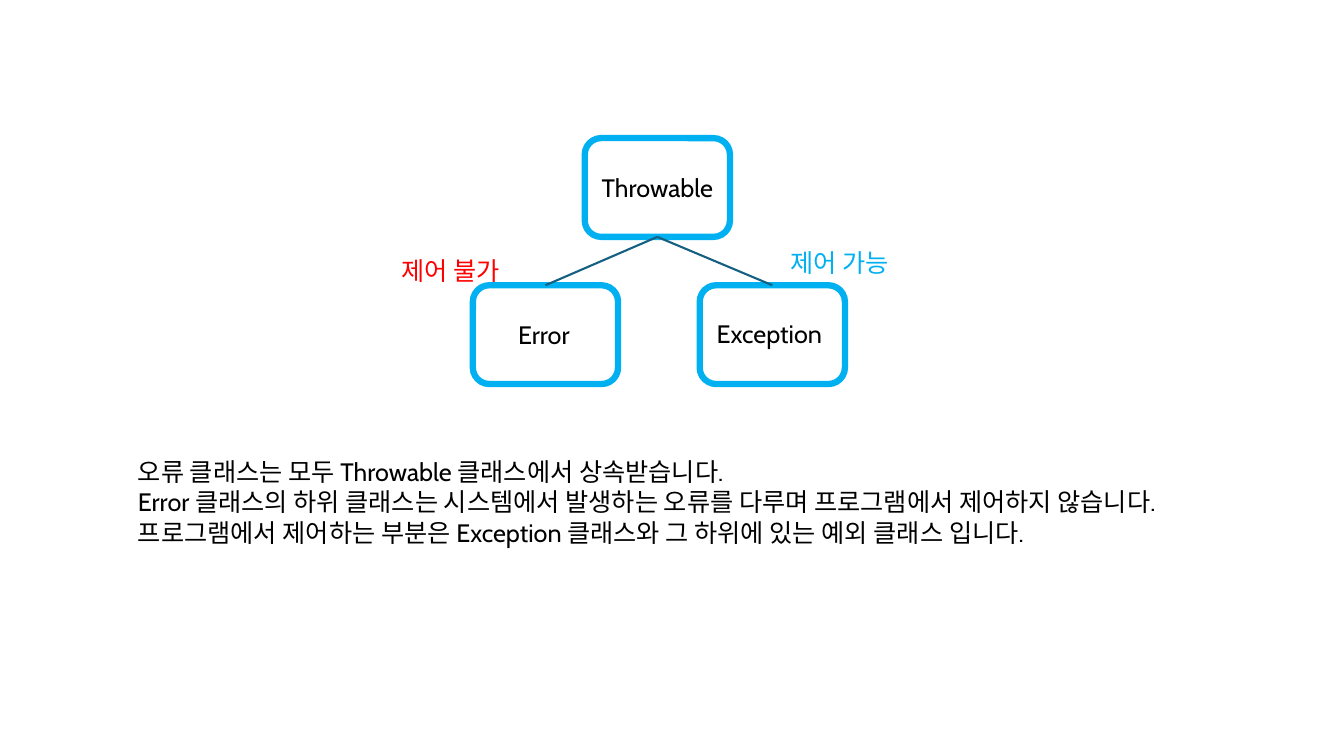
from dataclasses import dataclass

import pptx
import pptx.dml.color
import pptx.enum.shapes
import pptx.enum.text
import pptx.oxml.ns
import pptx.slide
import pptx.util
from lxml import etree

Inches = pptx.util.Inches
RGBColor = pptx.dml.color.RGBColor

BLACK = RGBColor(0x00, 0x00, 0x00)
RED = RGBColor(0xFF, 0x00, 0x00)
SKY_BLUE = RGBColor(0x00, 0xB0, 0xF0)
DARK_TEAL = RGBColor(0x15, 0x60, 0x82)

FONT_NAME = "Cabin"
FONT_SIZE = pptx.util.Pt(18)
BOX_WIDTH = 1.44
BOX_HEIGHT = 0.98


@dataclass(frozen=True)
class ClassBox:
    left: float
    top: float

    @property
    def center(self) -> float:
        return self.left + BOX_WIDTH / 2

    @property
    def bottom(self) -> float:
        return self.top + BOX_HEIGHT


@dataclass(frozen=True)
class TextBlock:
    paragraphs: tuple[str, ...]
    left: float
    top: float
    width: float
    height: float = 0.4
    color: RGBColor = BLACK
    wrap: bool = True


THROWABLE = ClassBox(5.8, 1.37)
ERROR = ClassBox(4.69, 2.83)
EXCEPTION = ClassBox(6.94, 2.83)
SUBCLASSES = (ERROR, EXCEPTION)

CLASS_NAMES = (
    TextBlock(("Throwable",), 5.87, 1.66, 1.33, wrap=False),
    TextBlock(("Error",), 5.04, 3.12, 0.73, wrap=False),
    TextBlock(("Exception",), 7.01, 3.11, 1.28, wrap=False),
)
EXPLANATION = TextBlock(
    (
        "오류 클래스는 모두 Throwable 클래스에서 상속받습니다.",
        "Error 클래스의 하위 클래스는 시스템에서 발생하는 오류를 다루며 "
        "프로그램에서 제어하지 않습니다. 프로그램에서 제어하는 부분은 "
        "Exception 클래스와 그 하위에 있는 예외 클래스 입니다.",
    ),
    1.27, 4.48, 11.06, 1.01,
)
CONTROL_LABELS = (
    TextBlock(("제어 불가",), 3.88, 2.48, 1.27, color=RED),
    TextBlock(("제어 가능",), 7.74, 2.4, 1.27, color=SKY_BLUE),
)


def draw_class_box(slide: pptx.slide.Slide, box: ClassBox) -> None:
    shape = slide.shapes.add_shape(
        pptx.enum.shapes.MSO_SHAPE.ROUNDED_RECTANGLE,
        Inches(box.left), Inches(box.top), Inches(BOX_WIDTH), Inches(BOX_HEIGHT),
    )
    shape.shadow.inherit = False
    shape.fill.background()
    shape.line.color.rgb = SKY_BLUE
    shape.line.width = pptx.util.Pt(4.5)


def draw_text(slide: pptx.slide.Slide, block: TextBlock) -> None:
    shape = slide.shapes.add_textbox(
        Inches(block.left), Inches(block.top), Inches(block.width), Inches(block.height)
    )
    frame = shape.text_frame
    frame.word_wrap = block.wrap
    frame.auto_size = pptx.enum.text.MSO_AUTO_SIZE.SHAPE_TO_FIT_TEXT
    for index, text in enumerate(block.paragraphs):
        paragraph = frame.add_paragraph() if index else frame.paragraphs[0]
        run = paragraph.add_run()
        run.text = text
        run.font.name = FONT_NAME
        run.font.size = FONT_SIZE
        run.font.color.rgb = block.color


def draw_inheritance(slide: pptx.slide.Slide, parent: ClassBox, child: ClassBox) -> None:
    connector = slide.shapes.add_connector(
        pptx.enum.shapes.MSO_CONNECTOR.STRAIGHT,
        Inches(parent.center), Inches(parent.bottom),
        Inches(child.center), Inches(child.top),
    )
    connector.line.color.rgb = DARK_TEAL
    connector.line.width = pptx.util.Pt(1.5)
    # An empty effect list removes the theme shadow
    etree.SubElement(connector._element.spPr, pptx.oxml.ns.qn("a:effectLst"))


def main() -> None:
    presentation = pptx.Presentation()
    presentation.slide_width = Inches(13.33)
    presentation.slide_height = Inches(7.5)
    slide = presentation.slides.add_slide(presentation.slide_layouts[6])

    # Class boxes
    for box in (THROWABLE, *SUBCLASSES):
        draw_class_box(slide, box)

    # Class names and explanation
    for block in (*CLASS_NAMES, EXPLANATION):
        draw_text(slide, block)

    # Inheritance lines
    for child in SUBCLASSES:
        draw_inheritance(slide, THROWABLE, child)

    # Control labels
    for label in CONTROL_LABELS:
        draw_text(slide, label)

    presentation.save("out.pptx")


if __name__ == "__main__":
    main()
